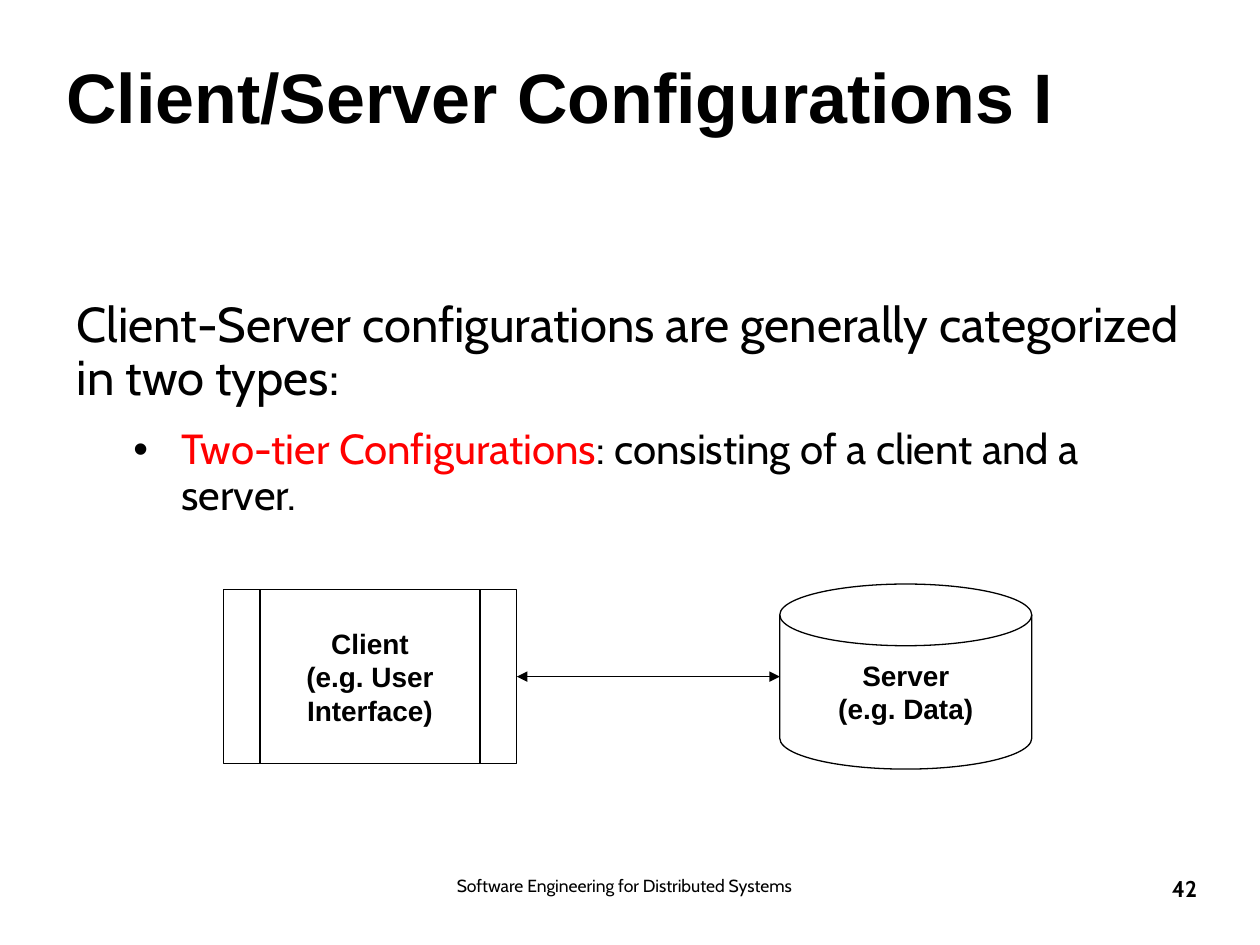
import pptx
import pptx.dml.color
import pptx.enum.shapes
import pptx.enum.text
import pptx.oxml
import pptx.oxml.ns
import pptx.util
from pptx.util import Cm

BLACK = pptx.dml.color.RGBColor(0x00, 0x00, 0x00)
WHITE = pptx.dml.color.RGBColor(0xFF, 0xFF, 0xFF)
RED = pptx.dml.color.RGBColor(0xFF, 0x00, 0x00)

ALIGN = pptx.enum.text.PP_ALIGN
ANCHOR = pptx.enum.text.MSO_ANCHOR
SHAPE = pptx.enum.shapes.MSO_SHAPE

LINE_WIDTH = pptx.util.Pt(0.75)
AXIS_Y = Cm(13.64)  # shared middle line of the diagram
INSETS = {"margin_left": Cm(0.25), "margin_right": Cm(0.25),
          "margin_top": Cm(0.13), "margin_bottom": Cm(0.13)}
NO_INSETS = dict.fromkeys(INSETS, 0)


def set_values(target, values):
    for name, value in values.items():
        setattr(target, name, value)


def add_span(para, text, size, font="Cabin", color=BLACK, bold=False):
    span = para.add_run()
    span.text = text
    set_values(span.font, {"size": pptx.util.Pt(size), "name": font, "bold": bold})
    span.font.color.rgb = color


def format_title(title, text):
    set_values(title, {"left": Cm(1.09), "top": Cm(0.33),
                       "width": Cm(22.86), "height": Cm(3.18)})
    frame = title.text_frame
    set_values(frame, {**INSETS, "word_wrap": True,
                       "auto_size": pptx.enum.text.MSO_AUTO_SIZE.NONE,
                       "vertical_anchor": ANCHOR.MIDDLE})
    para = frame.paragraphs[0]
    set_values(para, {"alignment": ALIGN.LEFT, "line_spacing": 1.01})
    add_span(para, text, 40, "Arial", bold=True)


def add_text_box(page, left, top, width, height, insets):
    box = page.shapes.add_textbox(Cm(left), Cm(top), Cm(width), Cm(height))
    set_values(box.text_frame, {**insets, "word_wrap": True})
    return box.text_frame


def add_bullet(para, left, hanging):
    properties = para._p.get_or_add_pPr()
    properties.set("marL", str(left))
    properties.set("indent", str(-hanging))
    namespace = pptx.oxml.ns.nsdecls("a")
    for xml in (f'<a:buClr {namespace}><a:srgbClr val="{BLACK}"/></a:buClr>',
                f'<a:buFont {namespace} typeface="Arial"/>',
                f'<a:buChar {namespace} char="•"/>'):
        properties.append(pptx.oxml.parse_xml(xml))


def add_body(page):
    frame = add_text_box(page, 1.3, 5.92, 22.81, 5.51, INSETS)
    intro = frame.paragraphs[0]
    set_values(intro, {"line_spacing": 0.9, "space_after": pptx.util.Pt(12.9)})
    add_span(intro, "Client-Server configurations are generally categorized in two types:", 28)

    item = frame.add_paragraph()
    set_values(item, {"level": 1, "line_spacing": 0.9, "space_after": pptx.util.Pt(10.3)})
    add_bullet(item, Cm(2.11), Cm(0.97))
    add_span(item, "Two-tier Configurations", 24, color=RED)
    add_span(item, ": consisting of a client and a server.", 24)


def add_node(page, kind, left, width, height, lines):
    node = page.shapes.add_shape(kind, Cm(left), AXIS_Y - Cm(height) // 2,
                                 Cm(width), Cm(height))
    node.shadow.inherit = False
    node.fill.solid()
    node.fill.fore_color.rgb = WHITE
    node.line.color.rgb = BLACK
    node.line.width = LINE_WIDTH
    frame = node.text_frame
    set_values(frame, {"word_wrap": False, "vertical_anchor": ANCHOR.MIDDLE})
    for index, text in enumerate(lines):
        para = frame.add_paragraph() if index else frame.paragraphs[0]
        para.alignment = ALIGN.CENTER
        add_span(para, text, 16, "Arial", bold=True)
    return node


def add_double_arrow(page, start, end):
    arrow = page.shapes.add_connector(pptx.enum.shapes.MSO_CONNECTOR.STRAIGHT,
                                      start.left + start.width, AXIS_Y, end.left, AXIS_Y)
    arrow.begin_connect(start, 3)
    arrow.line.color.rgb = BLACK
    arrow.line.width = LINE_WIDTH
    namespace = pptx.oxml.ns.nsdecls("a")
    outline = arrow.line._get_or_add_ln()
    for tag in ("headEnd", "tailEnd"):
        outline.append(pptx.oxml.parse_xml(f'<a:{tag} {namespace} type="triangle"/>'))
    arrow._element.spPr.append(pptx.oxml.parse_xml(f"<a:effectLst {namespace}/>"))


def add_footer(page, left, width, text, size, alignment, bold=False):
    frame = add_text_box(page, left, 17.63, width, 1.04, NO_INSETS)
    para = frame.paragraphs[0]
    set_values(para, {"alignment": alignment, "line_spacing": 1.01})
    add_span(para, text, size, bold=bold)


def main():
    deck = pptx.Presentation()
    set_values(deck, {"slide_width": Cm(25.4), "slide_height": Cm(19.05)})
    page = deck.slides.add_slide(deck.slide_layouts[5])

    # Title and text
    format_title(page.shapes.title, "Client/Server Configurations I")
    add_body(page)

    # Two-tier diagram
    server = add_node(page, SHAPE.FLOWCHART_MAGNETIC_DISK, 15.72, 5.08, 3.73,
                      ["Server", "(e.g. Data)"])
    client = add_node(page, SHAPE.FLOWCHART_PREDEFINED_PROCESS, 4.5, 5.92, 3.51,
                      ["Client", "(e.g. User", "Interface)"])
    add_double_arrow(page, client, server)

    # Footer and page number
    add_footer(page, 8.56, 8.05, "Software Engineering for Distributed Systems", 10, ALIGN.CENTER)
    add_footer(page, 18.21, 5.92, "42", 13, ALIGN.RIGHT, bold=True)

    deck.save("out.pptx")


if __name__ == "__main__":
    main()
